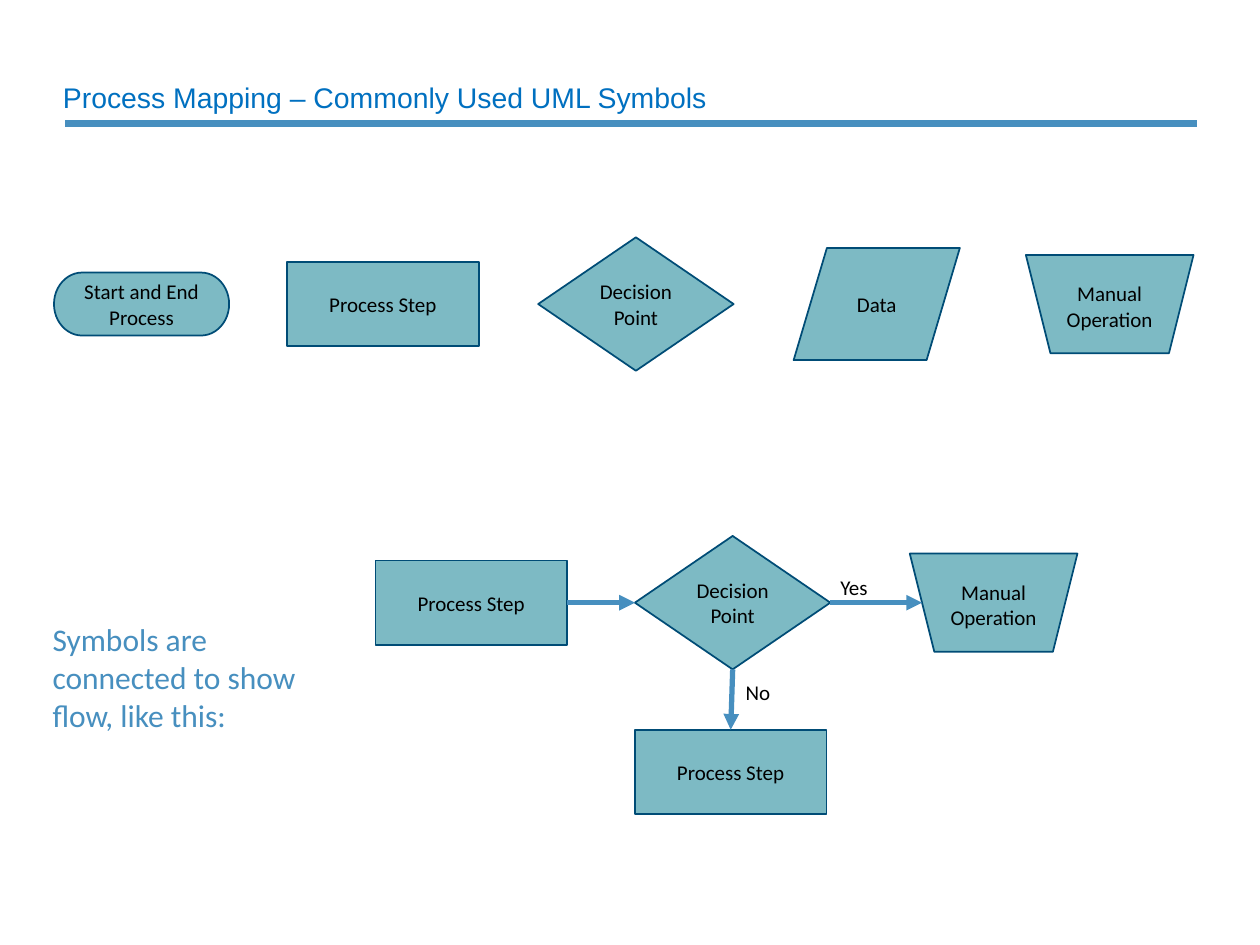
from dataclasses import dataclass

from lxml.etree import SubElement
from pptx import Presentation
from pptx.dml.color import RGBColor
from pptx.enum.shapes import MSO_CONNECTOR, MSO_SHAPE
from pptx.enum.text import MSO_ANCHOR, PP_ALIGN
from pptx.oxml.ns import qn
from pptx.util import Cm, Pt

TEAL = RGBColor(0x7D, 0xBA, 0xC4)
NAVY = RGBColor(0x00, 0x4C, 0x76)
STEEL_BLUE = RGBColor(0x47, 0x8F, 0xBF)
TITLE_BLUE = RGBColor(0x00, 0x70, 0xC0)
BLACK = RGBColor(0x00, 0x00, 0x00)

TAPER = 0.25  # slant of the trapezoid, as a share of its height
CAPTION_HEIGHT = 1.27


@dataclass(frozen=True)
class Symbol:
    """A flowchart symbol with its size in centimetres."""
    text: str
    kind: MSO_SHAPE
    width: float
    height: float


@dataclass(frozen=True)
class Placed:
    """A symbol at a left edge and a vertical centre, in centimetres."""
    symbol: Symbol
    left: float
    middle: float

    @property
    def top(self) -> float:
        return self.middle - self.symbol.height / 2

    @property
    def bottom(self) -> float:
        return self.middle + self.symbol.height / 2

    @property
    def right(self) -> float:
        return self.left + self.symbol.width

    @property
    def center(self) -> float:
        return self.left + self.symbol.width / 2


TERMINATOR = Symbol("Start and End Process", MSO_SHAPE.FLOWCHART_TERMINATOR, 3.53, 1.27)
PROCESS = Symbol("Process Step", MSO_SHAPE.FLOWCHART_PROCESS, 3.86, 1.7)
DECISION = Symbol("Decision Point", MSO_SHAPE.FLOWCHART_DECISION, 3.94, 2.69)
DATA = Symbol("Data", MSO_SHAPE.FLOWCHART_DATA, 3.35, 2.26)
MANUAL = Symbol("Manual Operation", MSO_SHAPE.TRAPEZOID, 3.38, 1.98)


def write_text(frame, text: str, *, size: float = 12, font: str = "Calibri",
               color: RGBColor = BLACK, align: PP_ALIGN = PP_ALIGN.LEFT,
               anchor: MSO_ANCHOR = MSO_ANCHOR.TOP, side_margin: float = 0.25,
               line_spacing: float = 1.0) -> None:
    frame.word_wrap = True
    frame.vertical_anchor = anchor
    frame.margin_left = frame.margin_right = Cm(side_margin)
    frame.margin_top = frame.margin_bottom = Cm(0.13)
    paragraph = frame.paragraphs[0]
    paragraph.alignment = align
    paragraph.line_spacing = line_spacing
    run = paragraph.add_run()
    run.text = text
    run.font.size = Pt(size)
    run.font.name = font
    run.font.color.rgb = color


def add_text(slide, text: str, left: float, top: float, width: float,
             height: float, **text_format) -> None:
    box = slide.shapes.add_textbox(Cm(left), Cm(top), Cm(width), Cm(height))
    write_text(box.text_frame, text, **text_format)


def add_symbol(slide, placed: Placed) -> None:
    symbol = placed.symbol
    shape = slide.shapes.add_shape(symbol.kind, Cm(placed.left), Cm(placed.top),
                                   Cm(symbol.width), Cm(symbol.height))
    shape.shadow.inherit = False
    shape.fill.solid()
    shape.fill.fore_color.rgb = TEAL
    shape.line.color.rgb = NAVY
    shape.line.width = Pt(1)
    if symbol is MANUAL:
        # The trapezoid is upside down, so its caption stands in its own box
        shape.rotation = 180
        shape.adjustments[0] = TAPER
        add_text(slide, symbol.text, placed.left, placed.middle - CAPTION_HEIGHT / 2 + 0.04,
                 symbol.width, CAPTION_HEIGHT, align=PP_ALIGN.CENTER)
    else:
        write_text(shape.text_frame, symbol.text, align=PP_ALIGN.CENTER,
                   anchor=MSO_ANCHOR.MIDDLE)


def add_line(slide, start: tuple[float, float], end: tuple[float, float],
             width: float, arrow: bool = False) -> None:
    connector = slide.shapes.add_connector(
        MSO_CONNECTOR.STRAIGHT, Cm(start[0]), Cm(start[1]), Cm(end[0]), Cm(end[1]))
    connector.line.color.rgb = STEEL_BLUE
    connector.line.width = Pt(width)
    if arrow:
        SubElement(connector.line._get_or_add_ln(), qn("a:tailEnd"), type="triangle")
    SubElement(connector._element.spPr, qn("a:effectLst"))


def main() -> None:
    presentation = Presentation()
    presentation.slide_width = Cm(25.4)
    presentation.slide_height = Cm(19.05)
    slide = presentation.slides.add_slide(presentation.slide_layouts[6])

    # Title and rule
    add_line(slide, (1.32, 2.49), (24.13, 2.49), 4.5)
    add_text(slide, "Process Mapping – Commonly Used UML Symbols", 1.27, 1.63, 22.86, 0.76,
             size=16.2, font="Arial", color=TITLE_BLUE, anchor=MSO_ANCHOR.MIDDLE,
             side_margin=0, line_spacing=0.9)

    # Row of symbols
    legend = ((TERMINATOR, 1.09), (PROCESS, 5.79), (DECISION, 10.85),
              (DATA, 16), (MANUAL, 20.68))
    for symbol, left in legend:
        add_symbol(slide, Placed(symbol, left, 6.13))

    # Example flow
    add_text(slide, "Symbols are connected to show flow, like this:", 0.81, 12.37, 5.46, 2.57,
             size=18, color=STEEL_BLUE)
    first_step = Placed(PROCESS, 7.57, 12.15)
    decision = Placed(DECISION, 12.8, 12.15)
    manual = Placed(MANUAL, 18.34, 12.15)
    last_step = Placed(PROCESS, 12.8, 15.56)
    for placed in (first_step, decision, manual, last_step):
        add_symbol(slide, placed)

    # Arrows and their answers
    slanted_edge = manual.left + TAPER * MANUAL.height / 2
    arrows = (
        ((first_step.right, first_step.middle), (decision.left, decision.middle)),
        ((decision.right, decision.middle), (slanted_edge, manual.middle)),
        ((decision.center, decision.bottom), (last_step.center, last_step.top)),
    )
    for start, end in arrows:
        add_line(slide, start, end, 3, arrow=True)
    add_text(slide, "Yes", 16.69, 11.46, 1.5, 0.76)
    add_text(slide, "No", 14.78, 13.56, 1.07, 0.76)

    presentation.save("out.pptx")


if __name__ == "__main__":
    main()
